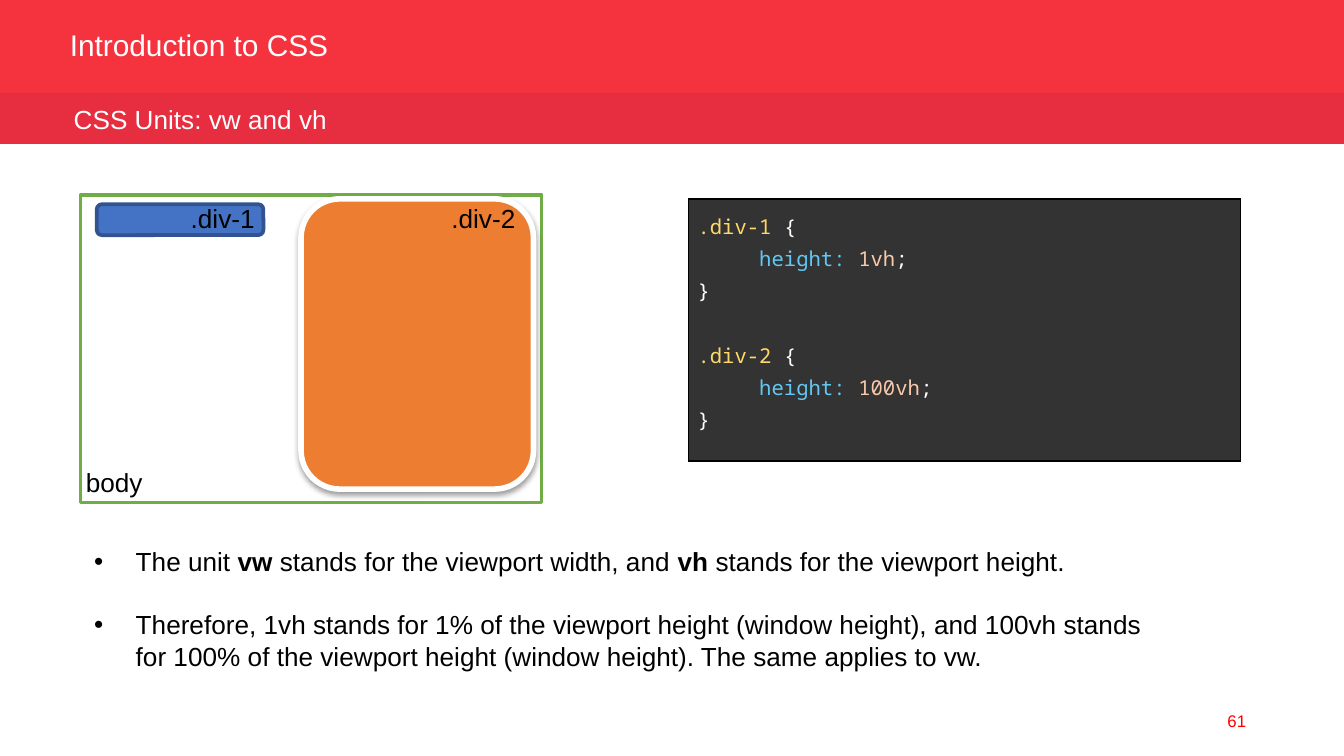
from lxml.etree import SubElement
from pptx import Presentation
from pptx.dml.color import RGBColor
from pptx.enum.shapes import MSO_SHAPE as Shape
from pptx.enum.text import MSO_ANCHOR as Anchor, MSO_AUTO_SIZE as AutoSize, PP_ALIGN as Align
from pptx.oxml import parse_xml
from pptx.oxml.ns import nsdecls, qn
from pptx.util import Inches, Pt

COLORS = {
    "header": "F5333F", "subheader": "E72D40", "white": "FFFFFF", "black": "000000",
    "number": "FF0000", "green": "70AD47", "orange": "ED7D31", "blue": "4472C4",
    "navy": "31538F", "code_fill": "333333", "selector": "FFD966",
    "property": "62C8F3", "value": "F7CAAC",
}
TEXT_FONT, CODE_FONT = "Arial", "Noto Sans Mono"

TITLE = "Introduction to CSS"
SUBTITLE = "CSS Units: vw and vh"
PAGE_NUMBER = "61"
BULLETS = [  # (text, bold)
    [("The unit ", False), ("vw", True), (" stands for the viewport width, and ", False),
     ("vh ", True), ("stands for the viewport height.", False)],
    [("Therefore, 1vh stands for 1% of the viewport height (window height), and 100vh "
      "stands for 100% of the viewport height (window height). The same applies to vw.", False)],
]
RULES = [(".div-1", "1vh"), (".div-2", "100vh")]
LABELS = [("body", 0.54, 3.42, 0.63), (".div-2", 3.26, 1.46, 0.68), (".div-1", 1.32, 1.46, 0.68)]


def rgb(name):
    return RGBColor.from_string(COLORS[name])


def set_font(font, size, color, name=TEXT_FONT):
    font.size, font.name = Pt(size), name
    font.color.rgb = rgb(color)


def place(shape, area):
    shape.left, shape.top, shape.width, shape.height = map(Inches, area)


def add_block(kind, area, fill, line=None, line_width=0):
    block = slide.shapes.add_shape(kind, *map(Inches, area))
    block.shadow.inherit = False
    block.fill.solid()
    block.fill.fore_color.rgb = rgb(fill)
    if line:
        block.line.color.rgb = rgb(line)
        block.line.width = Pt(line_width)
    else:
        block.line.fill.background()
    return block


def add_text(text, area, size, color="black", wrap=True):
    box = slide.shapes.add_textbox(*map(Inches, area))
    box.text_frame.word_wrap = wrap
    para = box.text_frame.paragraphs[0]
    para.text = text
    set_font(para.runs[0].font, size, color)
    return box


def add_bullet(para):
    properties = para._p.get_or_add_pPr()
    properties.set("marL", str(Inches(0.31)))
    properties.set("indent", str(-Inches(0.31)))
    SubElement(properties, qn("a:buFont"), typeface=TEXT_FONT)
    SubElement(properties, qn("a:buChar"), char="•")


def add_soft_shadow(shape):
    effects = shape._element.spPr.find(qn("a:effectLst"))
    effects.append(parse_xml(
        f'<a:outerShdw {nsdecls("a")} blurRad="{Pt(3.1)}" dist="{Pt(1.6)}" dir="5400000" '
        f'rotWithShape="0"><a:srgbClr val="{COLORS["black"]}"><a:alpha val="38000"/>'
        f'</a:srgbClr></a:outerShdw>'))


def set_borders(cell, color, width):
    properties = cell._tc.get_or_add_tcPr()
    for index, side in enumerate(("lnL", "lnR", "lnT", "lnB")):
        properties.insert(index, parse_xml(
            f'<a:{side} {nsdecls("a")} w="{Pt(width)}"><a:solidFill>'
            f'<a:srgbClr val="{COLORS[color]}"/></a:solidFill></a:{side}>'))


def code_lines():
    """Return the CSS as lines of (text, color) pieces, with a blank line between rules."""
    lines = []
    for selector, value in RULES:
        if lines:
            lines.append([])
        lines += [[(selector, "selector"), (" ", "property"), ("{", "white")],
                  [("     height: ", "property"), (value, "value"), (";", "white")],
                  [("}", "white")]]
    return lines


deck = Presentation()
deck.slide_width = Inches(10)
deck.slide_height = deck.slide_width * 9 // 16
slide = deck.slides.add_slide(deck.slide_layouts[1])
title, body = slide.placeholders

# Header
header = add_block(Shape.RECTANGLE, (0, 0, 10, 0.7), "header")
title._element.addprevious(header._element)
place(title, (0.42, 0.14, 4.69, 0.44))
title.text_frame.text = TITLE
title.text_frame.auto_size = AutoSize.NONE
title.text_frame.vertical_anchor = Anchor.MIDDLE
title_para = title.text_frame.paragraphs[0]
title_para.alignment, title_para.line_spacing = Align.LEFT, 0.8
set_font(title_para.runs[0].font, 16, "white")
add_block(Shape.RECTANGLE, (0, 0.69, 10, 0.38), "subheader")
add_text(SUBTITLE, (0.45, 0.72, 4.24, 0.34), 14, "white")

# Bullets
place(body, (0.6, 4.01, 8.09, 1.28))
frame = body.text_frame
frame.auto_size = AutoSize.NONE
for index, pieces in enumerate(BULLETS):
    para = frame.paragraphs[0] if index == 0 else frame.add_paragraph()
    para.space_before = Pt(17 if index else 0)
    add_bullet(para)
    for text, bold in pieces:
        span = para.add_run()
        span.text = text
        set_font(span.font, 14, "black")
        span.font.bold = bold

# Viewport diagram
add_block(Shape.RECTANGLE, (0.6, 1.45, 3.43, 2.29), "white", "green", 2)
tall_div = add_block(Shape.ROUNDED_RECTANGLE, (2.24, 1.48, 1.73, 2.16), "orange", "white", 3)
add_soft_shadow(tall_div)
add_block(Shape.ROUNDED_RECTANGLE, (0.72, 1.52, 1.24, 0.23), "blue", "navy", 2)
for text, left, top, width in LABELS:
    add_text(text, (left, top, width, 0.34), 14, wrap=False)

# Code panel
table = slide.shapes.add_table(1, 1, *map(Inches, (5.12, 1.48, 4.11, 1.95))).table
cell = table.cell(0, 0)
cell.fill.solid()
cell.fill.fore_color.rgb = rgb("code_fill")
set_borders(cell, "black", 0.75)
cell.margin_left = cell.margin_right = cell.margin_top = cell.margin_bottom = Inches(0.07)
for index, pieces in enumerate(code_lines()):
    para = cell.text_frame.paragraphs[0] if index == 0 else cell.text_frame.add_paragraph()
    para.line_spacing = 1.15
    for text, color in pieces:
        span = para.add_run()
        span.text = text
        set_font(span.font, 11, color, CODE_FONT)
    if not pieces:
        end = SubElement(para._p, qn("a:endParaRPr"), sz="1100")
        SubElement(end, qn("a:latin"), typeface=CODE_FONT)

# Page number
number = add_text(PAGE_NUMBER, (7.12, 5.21, 2.25, 0.3), 9, "number")
number.text_frame.vertical_anchor = Anchor.MIDDLE
number.text_frame.paragraphs[0].alignment = Align.RIGHT

deck.save("out.pptx")
